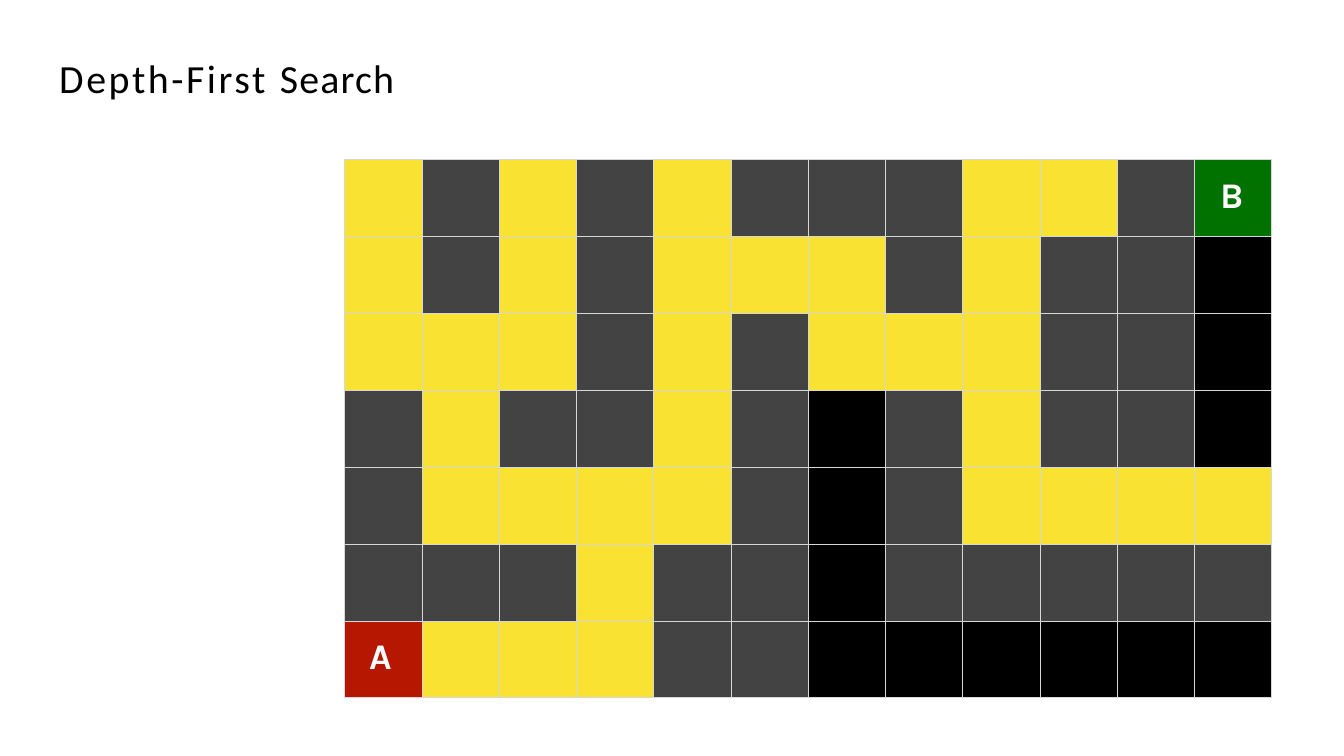
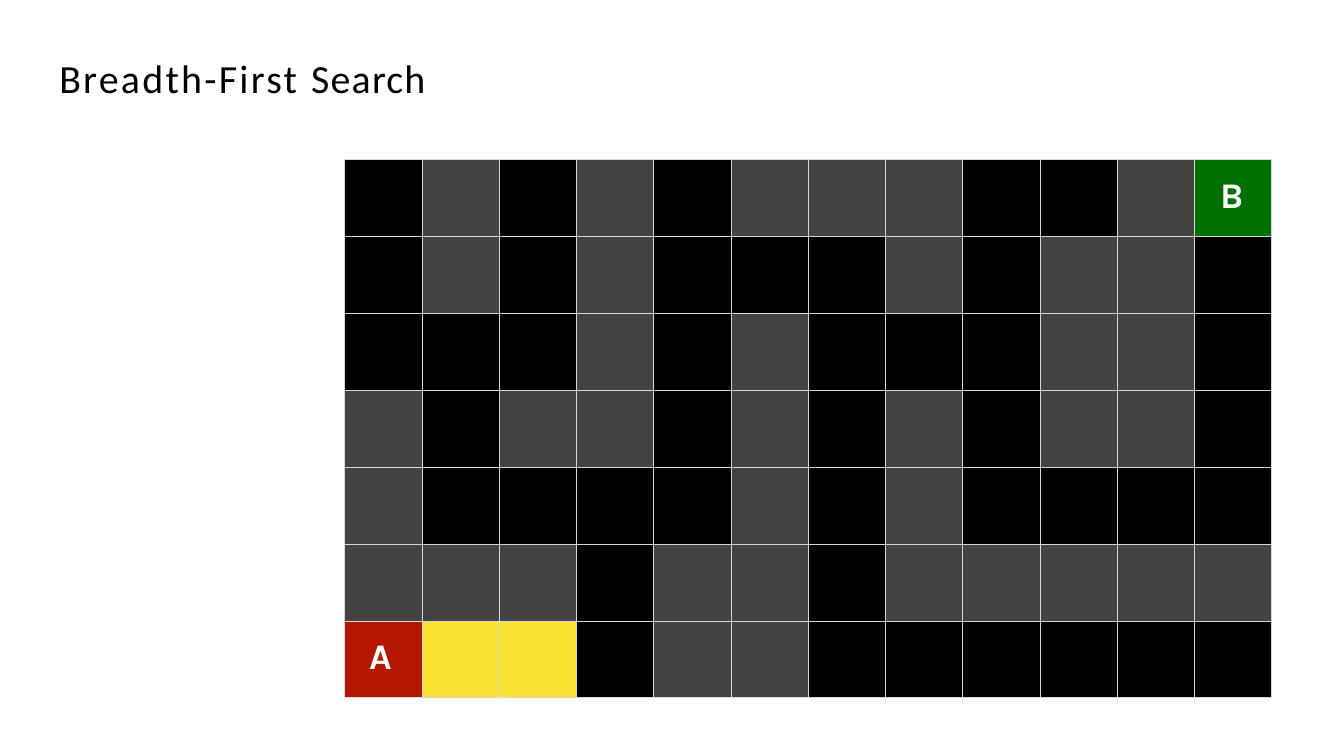
from lxml.etree import SubElement
from pptx import Presentation
from pptx.dml.color import RGBColor
from pptx.enum.text import MSO_ANCHOR as Anchor, MSO_AUTO_SIZE as AutoSize
from pptx.oxml.ns import qn
from pptx.util import Inches, Pt

WALL, OPEN, EXPLORED = "434343", "000000", "FAE232"
GRID, TITLE, WHITE = "D6D7D6", "000000", "FFFFFF"
MARKERS = {"A": ("B51700", 0.4, 0.25), "B": ("017100", 0.42, 0.26)}
LEFT, TOP, WIDTH, HEIGHT = 5.64, 2.61, 15.17, 8.81
MAZE = (
    "o#o#o###oo#B",
    "o#o#ooo#o##.",
    "ooo#o#ooo##.",
    "#o##o#.#o##.",
    "#oooo#.#oooo",
    "###o##.#####",
    "Axxo##......",
)
SLIDES = (
    ("Depth-First ", 6.1, 3, "xo"),
    ("Breadth-First ", 6.68, 2.7, "x"),
)


def rgb(value):
    """Turn a hex string into a colour."""
    return RGBColor.from_string(value)


def set_all(obj, values):
    """Set every attribute named in a dict."""
    for name, value in values.items():
        setattr(obj, name, value)


def add_run(p, text, color, **font):
    """Add a formatted run to a paragraph."""
    r = p.add_run()
    r.text = text
    set_all(r.font, font)
    r.font.color.rgb = rgb(color)
    return r


def add_title(s, first, width, spacing):
    """Add the slide title with its letter spacing."""
    box = s.shapes.add_textbox(Inches(0.96), Inches(0.86), Inches(width), Inches(0.81))
    tf = box.text_frame
    set_all(tf, dict(margin_left=Inches(0.01), margin_top=Inches(0.01),
                     margin_right=0, margin_bottom=0, word_wrap=False,
                     vertical_anchor=Anchor.MIDDLE, auto_size=AutoSize.NONE))
    for text, gap in ((first, spacing), ("Search", 1.4)):
        r = add_run(tf.paragraphs[0], text, TITLE, size=Pt(47), name="Calibri")
        r.font._element.set("spc", str(round(gap * 100)))


def set_borders(cell):
    """Draw a thin line on all four sides of a cell."""
    tc_pr = cell._tc.get_or_add_tcPr()
    for side in "LRTB":
        ln = SubElement(tc_pr, qn(f"a:ln{side}"), w=str(Pt(1)))
        fill = SubElement(ln, qn("a:solidFill"))
        SubElement(fill, qn("a:srgbClr"), val=GRID)


def style_cell(cell, mark, explored):
    """Fill one maze square and letter it if it is a start or goal."""
    set_borders(cell)
    color = WALL if mark == "#" else EXPLORED if mark in explored else OPEN
    if mark in MARKERS:
        color, left, top = MARKERS[mark]
        set_all(cell, dict(margin_left=Inches(left), margin_top=Inches(top),
                           margin_right=0, margin_bottom=0))
        add_run(cell.text_frame.paragraphs[0], mark, WHITE,
                size=Pt(42.5), name="Karla", bold=True)
    cell.fill.solid()
    cell.fill.fore_color.rgb = rgb(color)


def add_maze(s, explored):
    """Add the maze table with the explored squares coloured."""
    rows, cols = len(MAZE), len(MAZE[0])
    table = s.shapes.add_table(rows, cols, Inches(LEFT), Inches(TOP),
                               Inches(WIDTH), Inches(HEIGHT)).table
    set_all(table, dict(first_row=False, horz_banding=False))
    for i, line in enumerate(MAZE):
        for j, mark in enumerate(line):
            style_cell(table.cell(i, j), mark, explored)


def main():
    """Build and save the presentation."""
    prs = Presentation()
    set_all(prs, dict(slide_width=Inches(21.99), slide_height=Inches(12.37)))
    for first, width, spacing, explored in SLIDES:
        s = prs.slides.add_slide(prs.slide_layouts[6])
        add_maze(s, explored)
        add_title(s, first, width, spacing)
    prs.save("out.pptx")


if __name__ == "__main__":
    main()
